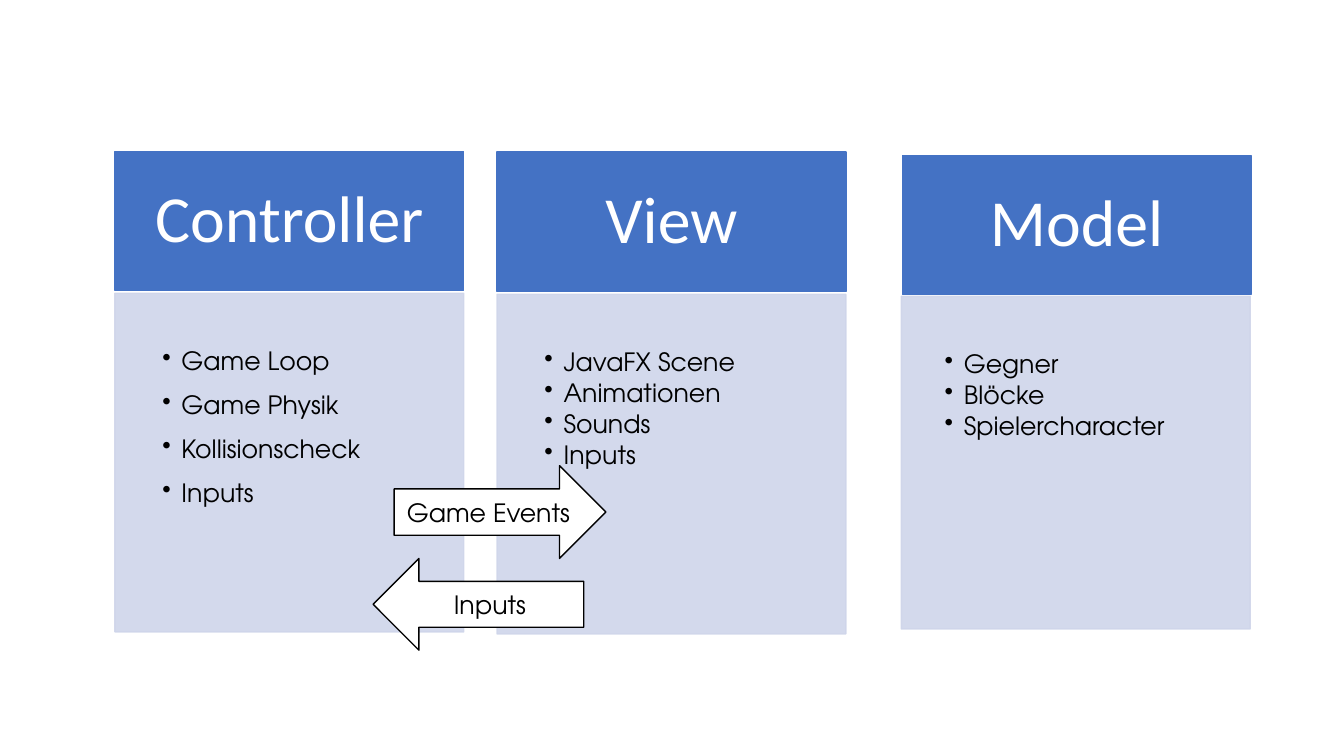
from lxml.etree import SubElement
from pptx import Presentation
from pptx.dml.color import RGBColor
from pptx.enum.shapes import MSO_SHAPE as Shape
from pptx.enum.text import MSO_ANCHOR as Anchor, PP_ALIGN as Align
from pptx.oxml.ns import qn
from pptx.util import Inches, Pt

# Content: heading, left, top, list left, list top, list height, list inset, space after, items
COLUMNS = [
    ("Controller", 1.14, 1.5, 1.14, 2.91, 3.36, 0.47, 12,
     ["Game Loop", "Game Physik", "Kollisionscheck", "Inputs"]),
    ("View", 4.93, 1.51, 4.93, 2.92, 3.37, 0.47, 2.7,
     ["JavaFX Scene", "Animationen", "Sounds", "Inputs"]),
    ("Model", 8.95, 1.54, 8.94, 2.94, 3.3, 0.43, 2.7,
     ["Gegner", "Blöcke", "Spielercharacter"]),
]
ARROWS = [
    ("Game Events", Shape.RIGHT_ARROW, (3.91, 4.62, 2.1, 0.92)),
    ("Inputs", Shape.LEFT_ARROW, (3.7, 5.54, 2.09, 0.91)),
]
COLUMN_WIDTH, HEADING_HEIGHT = 3.46, 1.38
BULLET_INDENT = 0.19

THEME = {
    "heading": {"fill": "4472C4", "line": "4472C4", "text": "FFFFFF",
                "font": "Calibri", "size": 47},
    "list": {"fill": "CFD5EA", "line": "CFD5EA", "text": "000000",
             "font": "TeX Gyre Adventor", "size": 18, "alpha": 90},
    "arrow": {"fill": "FFFFFF", "line": "000000", "text": "000000",
              "font": "TeX Gyre Adventor", "size": 18},
}


def set_alpha(fill_parent, percent):
    for color in fill_parent.iterfind(qn("a:solidFill") + "/" + qn("a:srgbClr")):
        SubElement(color, qn("a:alpha"), val=str(percent * 1000))


def add_bullet(paragraph):
    properties = paragraph._p.get_or_add_pPr()
    indent = Inches(BULLET_INDENT)
    properties.set("marL", str(indent))
    properties.set("indent", str(-indent))
    SubElement(properties, qn("a:buChar"), char="•")


def add_box(slide, kind, place, style, lines, frame_format, paragraph_format):
    box = slide.shapes.add_shape(kind, *map(Inches, place))
    box.shadow.inherit = False
    box.fill.solid()
    box.fill.fore_color.rgb = RGBColor.from_string(style["fill"])
    box.line.color.rgb = RGBColor.from_string(style["line"])
    box.line.width = Pt(1)
    if "alpha" in style:
        shape_properties = box._element.spPr
        for fill_parent in (shape_properties, shape_properties.find(qn("a:ln"))):
            set_alpha(fill_parent, style["alpha"])

    frame = box.text_frame
    for name, value in frame_format.items():
        setattr(frame, name, value)
    for number, line in enumerate(lines):
        paragraph = frame.add_paragraph() if number else frame.paragraphs[0]
        for name, value in paragraph_format.items():
            setattr(paragraph, name, value)
        run = paragraph.add_run()
        run.text = line
        run.font.name = style["font"]
        run.font.size = Pt(style["size"])
        run.font.color.rgb = RGBColor.from_string(style["text"])
    return frame


def margins(left, top, right, bottom):
    return {"margin_left": Inches(left), "margin_top": Inches(top),
            "margin_right": Inches(right), "margin_bottom": Inches(bottom)}


def main():
    deck = Presentation()
    deck.slide_width, deck.slide_height = Inches(13.33), Inches(7.5)
    slide = deck.slides.add_slide(deck.slide_layouts[6])

    # Columns: heading above its bulleted list
    for (heading, left, top, list_left, list_top, list_height,
         inset, space_after, items) in COLUMNS:
        add_box(slide, Shape.RECTANGLE, (left, top, COLUMN_WIDTH, HEADING_HEIGHT),
                THEME["heading"], [heading],
                {"vertical_anchor": Anchor.MIDDLE, **margins(0.37, 0.21, 0.37, 0.21)},
                {"alignment": Align.CENTER, "line_spacing": 0.9})
        bullets = add_box(
            slide, Shape.RECTANGLE, (list_left, list_top, COLUMN_WIDTH, list_height),
            THEME["list"], items,
            {"vertical_anchor": Anchor.TOP, **margins(inset, 0.55, 0.14, 0.16)},
            {"alignment": Align.LEFT, "level": 1, "line_spacing": 0.9,
             "space_after": Pt(space_after)})
        for paragraph in bullets.paragraphs:
            add_bullet(paragraph)

    # Arrows between controller and view
    for label, direction, place in ARROWS:
        add_box(slide, direction, place, THEME["arrow"], [label],
                {"vertical_anchor": Anchor.MIDDLE}, {"alignment": Align.CENTER})

    deck.save("out.pptx")


if __name__ == "__main__":
    main()
